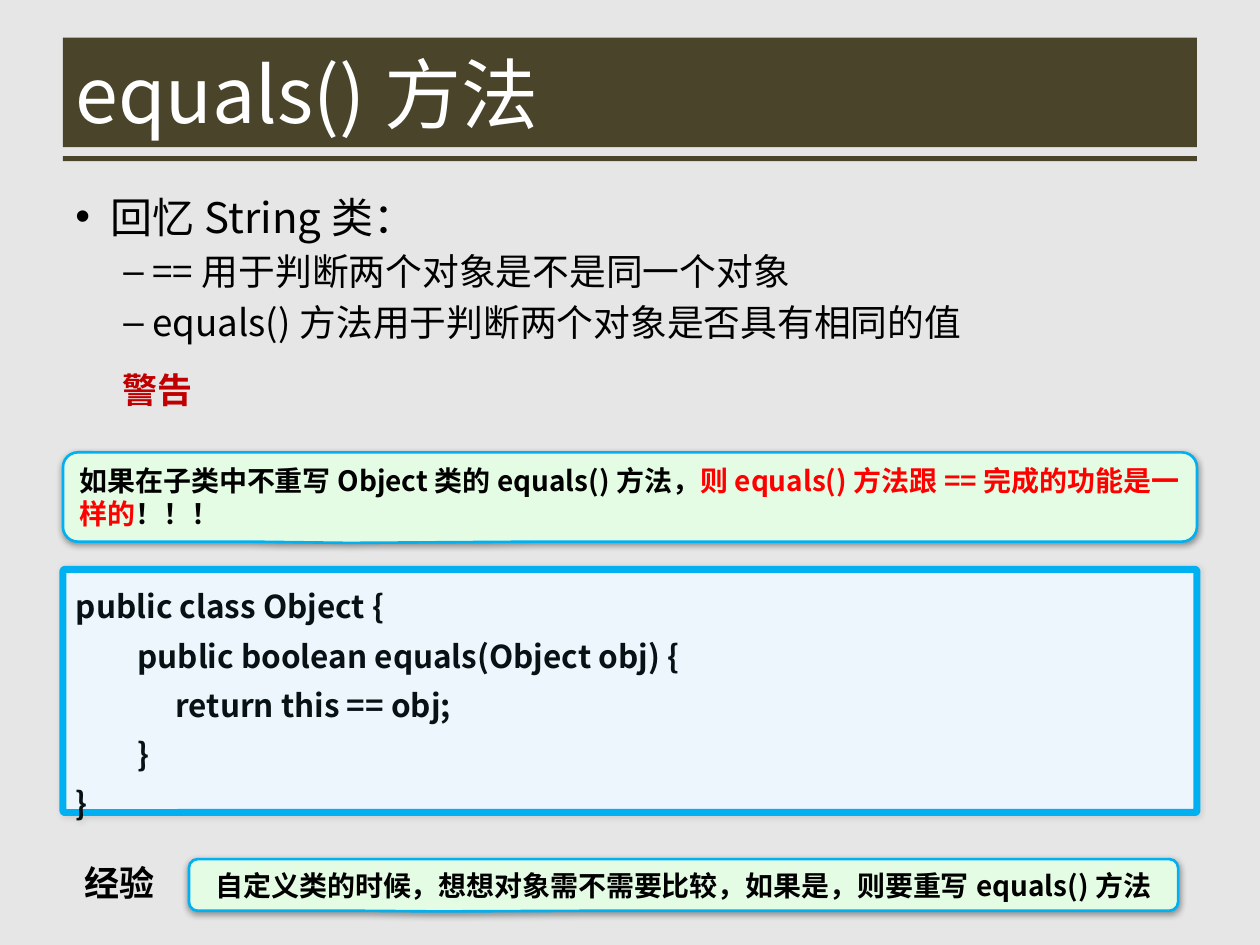
from lxml import etree
from pptx import Presentation
from pptx import util as u
from pptx.dml.color import RGBColor
from pptx.enum import shapes, text
from pptx.oxml.ns import qn

# Content
TITLE = "equals()方法"
BULLETS = [
    ("回忆String类：", 0),
    ("==用于判断两个对象是不是同一个对象", 1),
    ("equals()方法用于判断两个对象是否具有相同的值", 1),
]
CODE = [
    "public class Object {",
    "\tpublic boolean equals(Object obj) {",
    "\t\treturn this == obj;",
    "\t}",
    "}",
]
# Label: text, colour, left, top
LABELS = [("警告", "warning", 2.23, 7.3), ("经验", "ink", 1.45, 17.23)]
# Callout: runs with colours, box, alignment
CALLOUTS = [
    ([("如果在子类中不重写Object类的equals()方法，", "ink"),
      ("则equals()方法跟==完成的功能是一样的", "alert"),
      ("！！！", "ink")],
     (1.27, 9.12, 22.86, 1.8), text.PP_ALIGN.LEFT),
    ([("自定义类的时候，想想对象需不需要比较，如果是，则要重写equals()方法", "ink")],
     (3.81, 17.32, 19.94, 1.04), text.PP_ALIGN.CENTER),
]


class Theme:
    font = "Noto Sans CJK SC"
    colors = dict(background="E7E6E6", band="4A452A", white="FFFFFF", ink="000000",
                  warning="C00000", alert="FF0000", mint="E4FCE4", border="00B0F0",
                  code_fill="EDF5FD", code="071215")
    title, levels, label, callout, code = 44, (24, 21), 20, 16, 18


# Bullet levels: character, left margin, hanging indent
LEVELS = [("•", 0.71, 0.71), ("–", 1.55, 0.58)]
CODE_TABS = (1.24, 2.01)
LEFT, WIDTH = 1.27, 22.86


def color(name):
    return RGBColor.from_string(Theme.colors[name])


def box(values):
    return [u.Cm(value) for value in values]


def style(run, size, ink, bold=False):
    run.font.size, run.font.bold, run.font.name = u.Pt(size), bold, Theme.font
    run.font.color.rgb = color(ink)
    east_asian = etree.SubElement(run.font._element, qn("a:ea"))
    east_asian.set("typeface", Theme.font)


def make_shadow(blur, distance, angle, alpha):
    effects = etree.Element(qn("a:effectLst"))
    shadow = etree.SubElement(effects, qn("a:outerShdw"), blurRad=str(u.Pt(blur)),
                              dist=str(u.Pt(distance)), dir=str(angle * 60000),
                              algn="ctr", rotWithShape="0")
    black = etree.SubElement(shadow, qn("a:srgbClr"), val="000000")
    etree.SubElement(black, qn("a:alpha"), val=str(alpha * 1000))
    return effects


def add_panel(slide, kind, bounds, fill, line=0, shadow=None):
    shape = slide.shapes.add_shape(kind, *box(bounds))
    shape.shadow.inherit = False
    shape.fill.solid()
    shape.fill.fore_color.rgb = color(fill)
    if line:
        shape.line.color.rgb = color("border")
        shape.line.width = u.Pt(line)
    else:
        shape.line.fill.background()
    if shadow:
        properties = shape._element.spPr
        properties.replace(properties.find(qn("a:effectLst")), make_shadow(*shadow))
    return shape


def add_text(slide, bounds, wrap=True, anchor=text.MSO_ANCHOR.TOP):
    frame = slide.shapes.add_textbox(*box(bounds)).text_frame
    frame.word_wrap, frame.vertical_anchor = wrap, anchor
    return frame


def add_heading(slide):
    add_panel(slide, shapes.MSO_SHAPE.RECTANGLE, (LEFT, 0.76, WIDTH, 2.21), "band")
    add_panel(slide, shapes.MSO_SHAPE.RECTANGLE, (LEFT, 3.15, WIDTH, 0.1), "band")
    frame = add_text(slide, (LEFT, 0.76, WIDTH, 2.21), anchor=text.MSO_ANCHOR.MIDDLE)
    frame.text = TITLE
    style(frame.paragraphs[0].runs[0], Theme.title, "white")


def add_bullets(slide):
    frame = add_text(slide, (LEFT, 3.73, WIDTH, 3.5))
    frame.text = "\n".join(line for line, _ in BULLETS)
    for index, (paragraph, (_, level)) in enumerate(zip(frame.paragraphs, BULLETS)):
        mark, margin, hanging = LEVELS[level]
        properties = paragraph._p.get_or_add_pPr()
        properties.set("marL", str(u.Cm(margin)))
        properties.set("indent", str(-u.Cm(hanging)))
        etree.SubElement(properties, qn("a:buFont"), typeface="Arial")
        etree.SubElement(properties, qn("a:buChar"), char=mark)
        if index:
            paragraph.space_before = u.Pt(4)
        style(paragraph.runs[0], Theme.levels[level], "ink")


def add_label(slide, words, ink, left, top):
    frame = add_text(slide, (left, top, 1.96, 1.11), False, text.MSO_ANCHOR.MIDDLE)
    frame.text = words
    run = frame.paragraphs[0].runs[0]
    style(run, Theme.label, ink, True)
    run.font._element.find(qn("a:solidFill")).addnext(make_shadow(3, 2, 90, 43))


def add_callout(slide, runs, bounds, alignment):
    shape = add_panel(slide, shapes.MSO_SHAPE.ROUNDED_RECTANGULAR_CALLOUT, bounds,
                      "mint", 1.5, (4, 1, 90, 40))
    for index, value in enumerate((-0.248, 0.514, 0.167)):
        shape.adjustments[index] = value
    frame = shape.text_frame
    frame.word_wrap, frame.vertical_anchor = True, text.MSO_ANCHOR.MIDDLE
    paragraph = frame.paragraphs[0]
    paragraph.alignment = alignment
    for words, ink in runs:
        run = paragraph.add_run()
        run.text = words
        style(run, Theme.callout, ink, True)


def add_code(slide):
    shape = add_panel(slide, shapes.MSO_SHAPE.ROUNDED_RECTANGLE,
                      (LEFT, 11.48, WIDTH, 4.9), "code_fill", 4, (3, 0, 0, 10))
    shape.adjustments[0] = 0.008
    frame = shape.text_frame
    frame.word_wrap, frame.vertical_anchor = True, text.MSO_ANCHOR.TOP
    frame.text = "\n".join(CODE)
    for paragraph in frame.paragraphs:
        tabs = etree.SubElement(paragraph._p.get_or_add_pPr(), qn("a:tabLst"))
        for position in CODE_TABS:
            etree.SubElement(tabs, qn("a:tab"), pos=str(u.Cm(position)), algn="l")
        paragraph.alignment = text.PP_ALIGN.LEFT
        paragraph.line_spacing = 1.3
        style(paragraph.runs[0], Theme.code, "code", True)


def main():
    presentation = Presentation()
    presentation.slide_width, presentation.slide_height = u.Cm(25.4), u.Cm(19.05)
    slide = presentation.slides.add_slide(presentation.slide_layouts[6])
    slide.background.fill.solid()
    slide.background.fill.fore_color.rgb = color("background")
    add_heading(slide)
    add_bullets(slide)
    add_code(slide)
    for label in LABELS:
        add_label(slide, *label)
    for callout in CALLOUTS:
        add_callout(slide, *callout)
    presentation.save("out.pptx")


if __name__ == "__main__":
    main()
